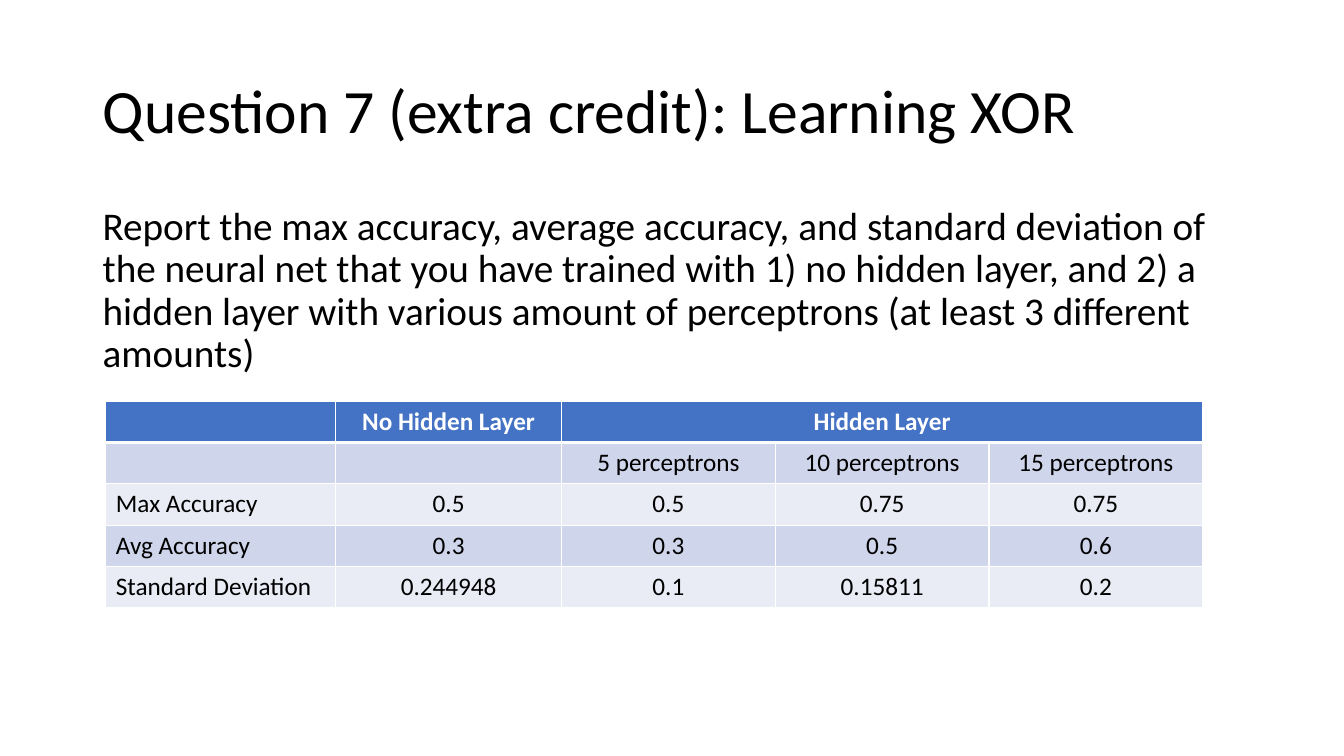
from dataclasses import dataclass
from typing import Any

from lxml import etree
from pptx import Presentation
from pptx import util as u
from pptx.dml.color import RGBColor
from pptx.enum import text
from pptx.oxml.ns import qn

PX = 9144  # EMU per px, 100 px to the inch
FONT = "Calibri"
BLACK, WHITE = "000000", "FFFFFF"
HEADER_BLUE, BAND_DARK, BAND_LIGHT = "4472C4", "CFD5EA", "E9EBF5"


@dataclass(frozen=True)
class TextBlock:
    wording: str
    left: int
    top: int
    width: int
    height: int
    size: int
    anchor: Any


BLOCKS = [
    TextBlock("Question 7 (extra credit): Learning XOR",
              92, 40, 1150, 145, 44, text.MSO_ANCHOR.MIDDLE),
    TextBlock("Report the max accuracy, average accuracy, and standard deviation of "
              "the neural net that you have trained with 1) no hidden layer, and 2) a "
              "hidden layer with various amount of perceptrons (at least 3 different "
              "amounts)",
              92, 200, 1150, 476, 28, text.MSO_ANCHOR.TOP),
]

RESULTS = [
    ["", "No Hidden Layer", "Hidden Layer", "", ""],
    ["", "", "5 perceptrons", "10 perceptrons", "15 perceptrons"],
    ["Max Accuracy", "0.5", "0.5", "0.75", "0.75"],
    ["Avg Accuracy", "0.3", "0.3", "0.5", "0.6"],
    ["Standard Deviation", "0.244948", "0.1", "0.15811", "0.2"],
]
COLUMN_WIDTHS = [228, 224, 212, 212, 212]
ROW_HEIGHT = 41


def px(length: int) -> u.Emu:
    return u.Emu(length * PX)


def rgb(colour: str) -> RGBColor:
    return RGBColor.from_string(colour)


def format_font(font: Any, size: int, colour: str, bold: bool = False) -> None:
    for attribute, value in {"name": FONT, "size": u.Pt(size), "bold": bold}.items():
        setattr(font, attribute, value)
    font.color.rgb = rgb(colour)


def draw_block(slide: Any, block: TextBlock) -> None:
    frame = slide.shapes.add_textbox(
        px(block.left), px(block.top), px(block.width), px(block.height)).text_frame
    frame.word_wrap = True
    frame.vertical_anchor = block.anchor
    paragraph = frame.paragraphs[0]
    paragraph.line_spacing = 0.9
    run = paragraph.add_run()
    run.text = block.wording
    format_font(run.font, block.size, BLACK)


def add_borders(cell: Any, widths: dict[str, int]) -> None:
    """Borders go in the order L, R, T, B, ahead of the fill."""
    properties = cell._tc.get_or_add_tcPr()
    for position, (side, points) in enumerate(widths.items()):
        line = etree.Element(qn(f"a:ln{side}"), w=str(u.Pt(points)))
        fill = etree.SubElement(line, qn("a:solidFill"))
        etree.SubElement(fill, qn("a:srgbClr"), val=WHITE)
        properties.insert(position, line)


def draw_cell(cell: Any, wording: str, row: int, column: int) -> None:
    is_header = row == 0
    band = BAND_DARK if row % 2 else BAND_LIGHT
    cell.fill.solid()
    cell.fill.fore_color.rgb = rgb(HEADER_BLUE if is_header else band)
    add_borders(cell, {"L": 1, "R": 1, "T": 3 if row == 1 else 1,
                       "B": 3 if is_header else 1})
    paragraph = cell.text_frame.paragraphs[0]
    paragraph.alignment = text.PP_ALIGN.CENTER if column else text.PP_ALIGN.LEFT
    if wording:
        run = paragraph.add_run()
        run.text = wording
        format_font(run.font, 18, WHITE if is_header else BLACK, is_header)


def draw_results(slide: Any, left: int, top: int) -> None:
    results = slide.shapes.add_table(
        len(RESULTS), len(COLUMN_WIDTHS), px(left), px(top),
        px(sum(COLUMN_WIDTHS)), px(ROW_HEIGHT * len(RESULTS))).table
    for column, width in zip(results.columns, COLUMN_WIDTHS):
        column.width = px(width)
    for row in results.rows:
        row.height = px(ROW_HEIGHT)
    # "Hidden Layer" heads the three perceptron columns
    results.cell(0, 2).merge(results.cell(0, 4))
    for r, wordings in enumerate(RESULTS):
        for c, wording in enumerate(wordings):
            draw_cell(results.cell(r, c), wording, r, c)


def main() -> None:
    deck = Presentation()
    deck.slide_width, deck.slide_height = px(1333), px(750)
    slide = deck.slides.add_slide(deck.slide_layouts[6])

    # Title and task
    for block in BLOCKS:
        draw_block(slide, block)

    # Accuracy table
    draw_results(slide, 105, 398)
    deck.save("out.pptx")


if __name__ == "__main__":
    main()
